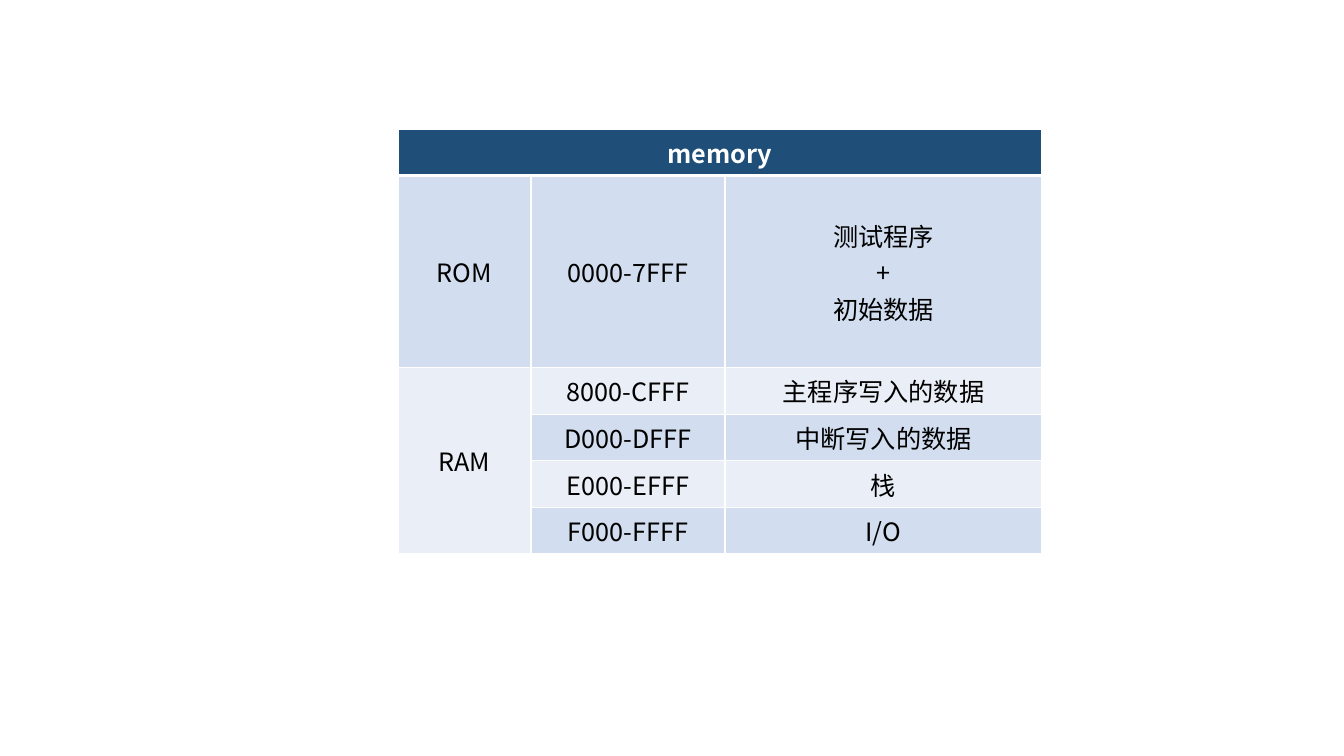
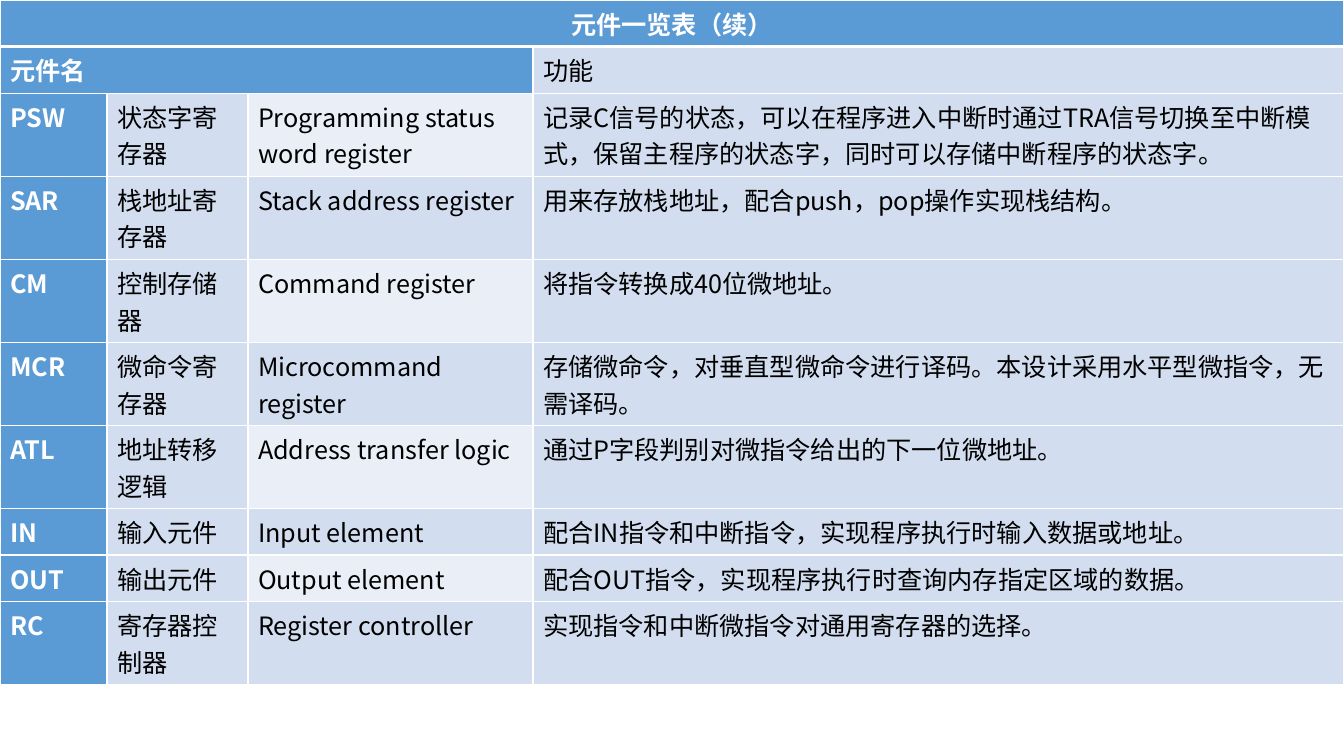
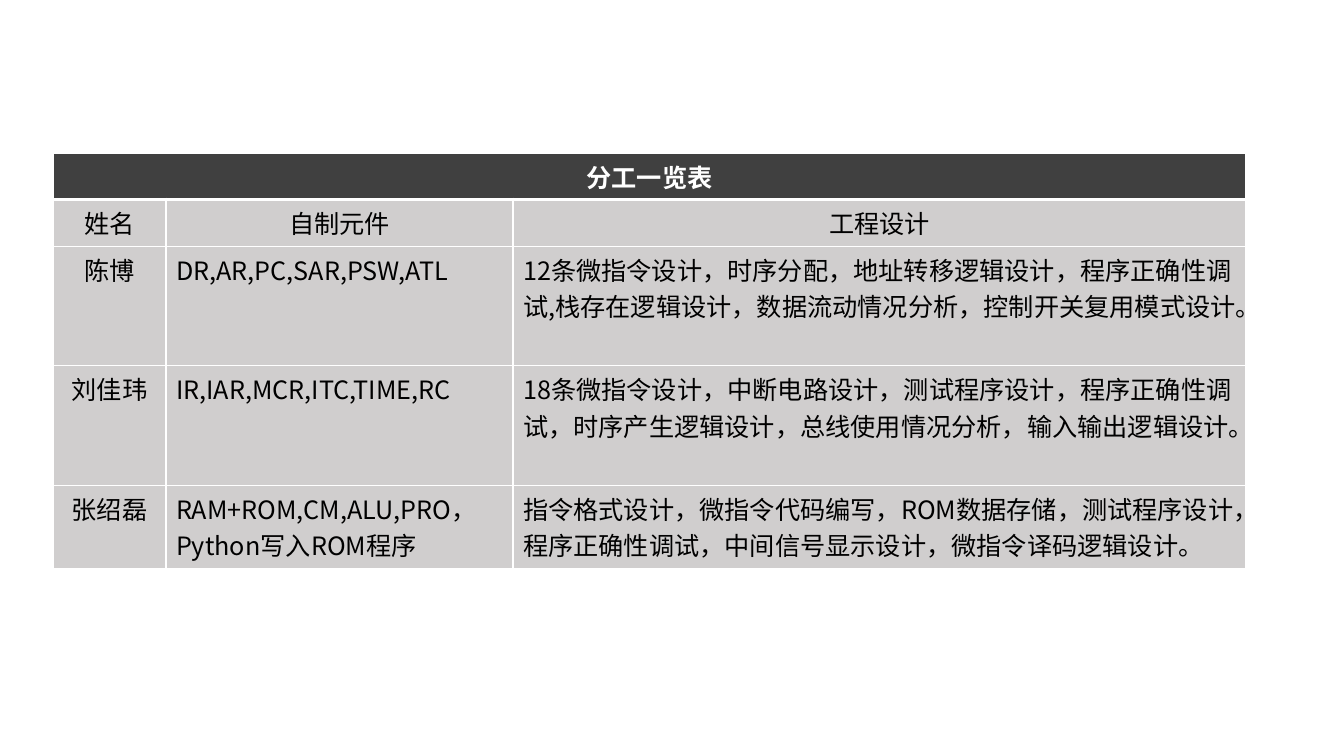
from pptx import Presentation
from pptx.dml.color import RGBColor
from pptx.enum.text import MSO_ANCHOR, PP_ALIGN
from pptx.oxml.ns import qn
from pptx.util import Pt
from lxml import etree

TOP, MIDDLE = MSO_ANCHOR.TOP, MSO_ANCHOR.MIDDLE
LEFT, CENTER = PP_ALIGN.LEFT, PP_ALIGN.CENTER

SLIDE_WIDTH, SLIDE_HEIGHT = 1344, 756
SCALE = 12192000 / SLIDE_WIDTH
FONT = "Noto Sans CJK SC"
FONT_SIZE = 18
BLANK_LAYOUT = 6

WHITE, BLACK = "FFFFFF", "000000"
NAVY, BLUE, CHARCOAL = "1F4E79", "5B9BD5", "404040"
PALE_BLUE, FAINT_BLUE, GREY = "D2DEEF", "EAEFF7", "D0CECE"
DARK_FILLS = {NAVY, BLUE, CHARCOAL}

ONE_LINE, TWO_LINES, THREE_LINES = 46, 83, 119

MEMORY_ROWS = [
    ["memory", "", ""],
    ["ROM", "0000-7FFF", "测试程序\n+\n初始数据"],
    ["RAM", "8000-CFFF", "主程序写入的数据"],
    ["", "D000-DFFF", "中断写入的数据"],
    ["", "E000-EFFF", "栈"],
    ["", "F000-FFFF", "I/O"],
]

COMPONENT_ROWS = [
    ["元件一览表（续）", "", "", ""],
    ["元件名", "", "", "功能"],
    ["PSW", "状态字寄存器", "Programming status word register",
     "记录C信号的状态，可以在程序进入中断时通过TRA信号切换至中断模式，"
     "保留主程序的状态字，同时可以存储中断程序的状态字。"],
    ["SAR", "栈地址寄存器", "Stack address register",
     "用来存放栈地址，配合push，pop操作实现栈结构。"],
    ["CM", "控制存储器", "Command register", "将指令转换成40位微地址。"],
    ["MCR", "微命令寄存器", "Microcommand register",
     "存储微命令，对垂直型微命令进行译码。本设计采用水平型微指令，无需译码。"],
    ["ATL", "地址转移逻辑", "Address transfer logic",
     "通过P字段判别对微指令给出的下一位微地址。"],
    ["IN", "输入元件", "Input element",
     "配合IN指令和中断指令，实现程序执行时输入数据或地址。"],
    ["OUT", "输出元件", "Output element",
     "配合OUT指令，实现程序执行时查询内存指定区域的数据。"],
    ["RC", "寄存器控制器", "Register controller",
     "实现指令和中断微指令对通用寄存器的选择。"],
]

DUTY_ROWS = [
    ["分工一览表", "", ""],
    ["姓名", "自制元件", "工程设计"],
    ["陈博", "DR,AR,PC,SAR,PSW,ATL",
     "12条微指令设计，时序分配，地址转移逻辑设计，程序正确性调试,"
     "栈存在逻辑设计，数据流动情况分析，控制开关复用模式设计。"],
    ["刘佳玮", "IR,IAR,MCR,ITC,TIME,RC",
     "18条微指令设计，中断电路设计，测试程序设计，程序正确性调试，"
     "时序产生逻辑设计，总线使用情况分析，输入输出逻辑设计。"],
    ["张绍磊", "RAM+ROM,CM,ALU,PRO，Python写入ROM程序",
     "指令格式设计，微指令代码编写，ROM数据存储，测试程序设计，"
     "程序正确性调试，中间信号显示设计，微指令译码逻辑设计。"],
]


def pixels(length):
    return round(length * SCALE)


def color(value):
    return RGBColor.from_string(value)


def add_border(cell, side, width):
    properties = cell._tc.get_or_add_tcPr()
    line = etree.SubElement(properties, qn(f"a:ln{side}"), w=str(Pt(width)))
    fill = etree.SubElement(line, qn("a:solidFill"))
    etree.SubElement(fill, qn("a:srgbClr"), val=WHITE)


def format_text(cell, alignment, text_color, bold):
    for paragraph in cell.text_frame.paragraphs:
        paragraph.alignment = alignment
        for run in paragraph.runs:
            run.font.name = FONT
            run.font.size = Pt(FONT_SIZE)
            run.font.bold = bold
            run.font.color.rgb = color(text_color)
            east_asian = etree.SubElement(run.font._element, qn("a:ea"))
            east_asian.set("typeface", FONT)


def format_cell(cell, row, fill, alignment, anchor):
    header_edges = {(0, "B"), (1, "T")}
    for side in "LRTB":
        add_border(cell, side, 3 if (row, side) in header_edges else 1)
    cell.fill.solid()
    cell.fill.fore_color.rgb = color(fill)
    cell.vertical_anchor = anchor
    dark = fill in DARK_FILLS
    format_text(cell, alignment, WHITE if dark else BLACK, dark)


def add_table_slide(presentation, left, top, widths, heights, rows, merges,
                    fill_of, alignment_of, anchor):
    slide = presentation.slides.add_slide(presentation.slide_layouts[BLANK_LAYOUT])
    table = slide.shapes.add_table(
        len(rows), len(widths), pixels(left), pixels(top),
        pixels(sum(widths)), pixels(sum(heights))).table
    table.horz_banding = False
    for column, width in zip(table.columns, widths):
        column.width = pixels(width)
    for table_row, height in zip(table.rows, heights):
        table_row.height = pixels(height)
    for first, last in merges:
        table.cell(*first).merge(table.cell(*last))
    for row, texts in enumerate(rows):
        for column, text in enumerate(texts):
            cell = table.cell(row, column)
            cell.text_frame.text = text
            format_cell(cell, row, fill_of(row, column),
                        alignment_of(row, column), anchor)


def memory_fill(row, column):
    if row == 0:
        return NAVY
    if row == 1 or (column > 0 and row % 2):
        return PALE_BLUE
    return FAINT_BLUE


def component_fill(row, column):
    if row == 0 or column == 0 or (row == 1 and column < 3):
        return BLUE
    return FAINT_BLUE if column == 2 and row % 2 == 0 else PALE_BLUE


def duty_fill(row, column):
    return CHARCOAL if row == 0 else GREY


def memory_alignment(row, column):
    return CENTER


def component_alignment(row, column):
    return CENTER if row == 0 else LEFT


def duty_alignment(row, column):
    return CENTER if row < 2 or column == 0 else LEFT


def main():
    presentation = Presentation()
    presentation.slide_width = pixels(SLIDE_WIDTH)
    presentation.slide_height = pixels(SLIDE_HEIGHT)
    add_table_slide(
        presentation, 398, 129, [133, 194, 317],
        [ONE_LINE, 192] + [ONE_LINE] * 4, MEMORY_ROWS,
        [((0, 0), (0, 2)), ((2, 0), (5, 0))],
        memory_fill, memory_alignment, MIDDLE)
    add_table_slide(
        presentation, 0, 0, [107, 141, 285, 811],
        [ONE_LINE] * 2 + [TWO_LINES] * 5 + [ONE_LINE] * 2 + [TWO_LINES],
        COMPONENT_ROWS, [((0, 0), (0, 3)), ((1, 0), (1, 2))],
        component_fill, component_alignment, TOP)
    add_table_slide(
        presentation, 53, 153, [113, 347, 733],
        [ONE_LINE] * 2 + [THREE_LINES] * 2 + [TWO_LINES], DUTY_ROWS,
        [((0, 0), (0, 2))], duty_fill, duty_alignment, TOP)
    presentation.save("out.pptx")


main()
